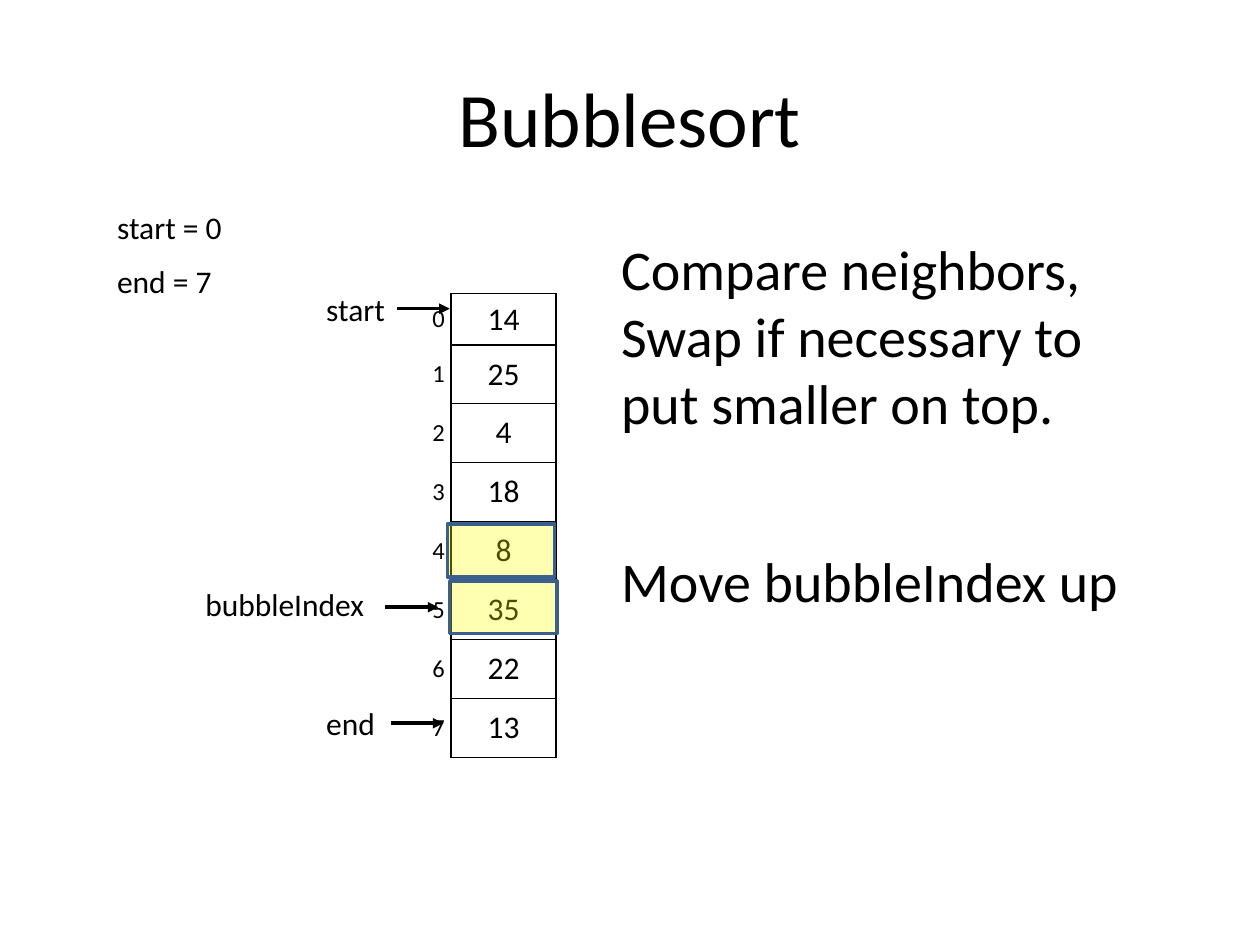
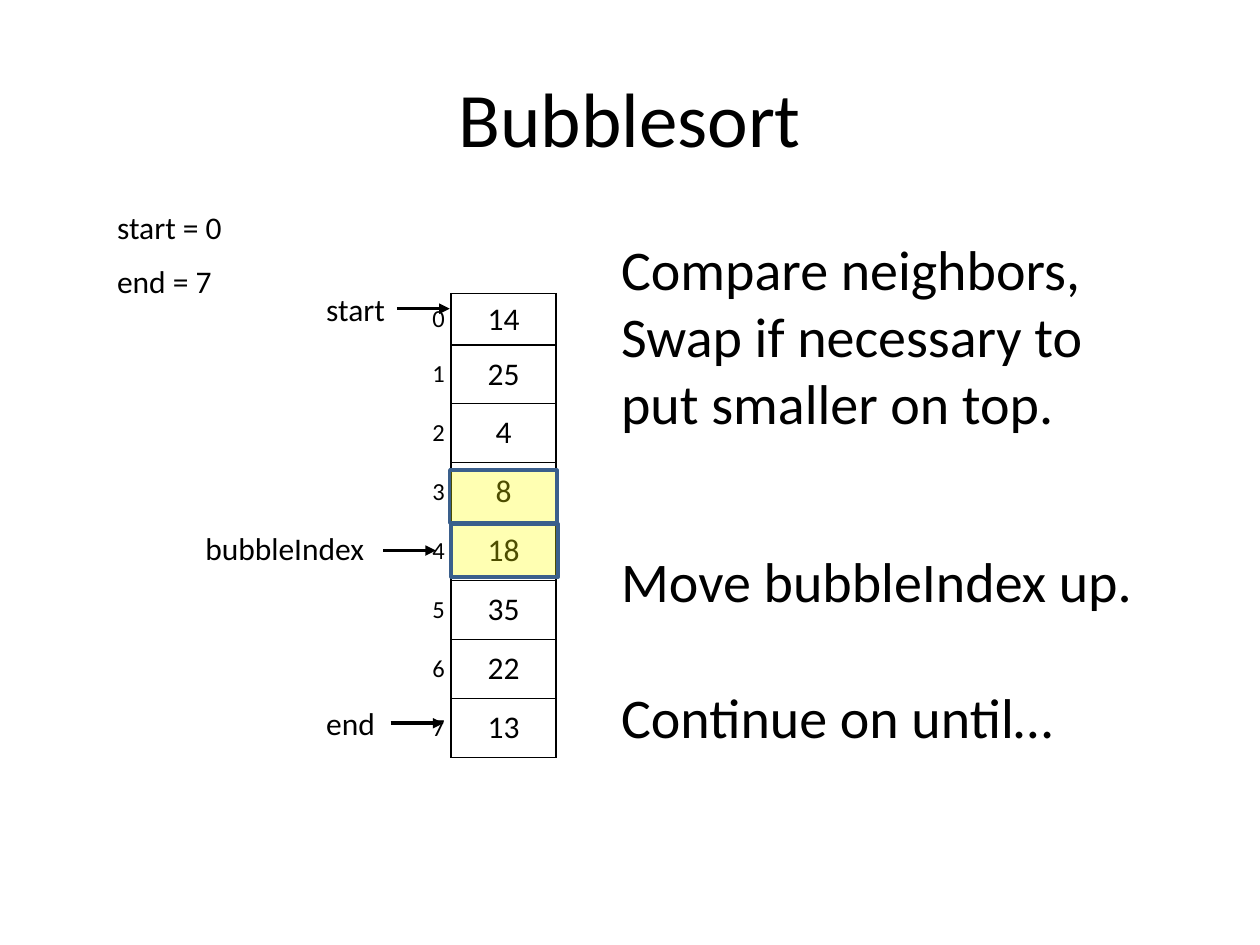
from pptx import Presentation
from pptx.dml.color import RGBColor
from pptx.enum.shapes import MSO_CONNECTOR as Connector, MSO_SHAPE as Preset
from pptx.enum.text import MSO_ANCHOR as Anchor, MSO_AUTO_SIZE as AutoSize, PP_ALIGN as Align
from pptx.oxml.ns import qn
from pptx.util import Pt
from lxml.etree import SubElement

BLACK = RGBColor(0, 0, 0)
YELLOW = RGBColor(255, 255, 0)
BLUE = RGBColor(0x3A, 0x5F, 0x8C)
FONT = "Calibri"
LABEL_SIZE, INDEX_SIZE, NOTE_SIZE, TITLE_SIZE = 18, 14, 32, 44
NOTE_LINE = 39
ARROW_LENGTH = 30.2

STEPS = [
    {
        "values": [14, 25, 4, 18, 8, 35, 22, 13],
        "highlights": [(257, 331.9), (255.6, 299.5)],
        "label_top": 330.5,
        "arrow": (220.3, 347),
        "notes": ["Move bubbleIndex up"],
    },
    {
        "values": [14, 25, 4, 8, 18, 35, 22, 13],
        "highlights": [(257.8, 299.5), (257, 268.6)],
        "label_top": 298.8,
        "arrow": (218.9, 314.6),
        "notes": ["Move bubbleIndex up.", "Continue on until…"],
    },
]


def format_text(frame, size, align=Align.LEFT):
    for para in frame.paragraphs:
        para.alignment = align
        for span in para.runs:
            span.font.name = FONT
            span.font.size = Pt(size)
            span.font.color.rgb = BLACK


def add_text(page, text, left, top, width, height=29, size=LABEL_SIZE):
    box = page.shapes.add_textbox(Pt(left), Pt(top), Pt(width), Pt(height))
    frame = box.text_frame
    frame.word_wrap = True
    frame.auto_size = AutoSize.SHAPE_TO_FIT_TEXT
    frame.text = text
    format_text(frame, size)
    return frame


def add_title(page, text):
    frame = add_text(page, text, 36, 21.6, 648, 90)
    frame.auto_size = AutoSize.NONE
    frame.vertical_anchor = Anchor.MIDDLE
    format_text(frame, TITLE_SIZE, Align.CENTER)


def add_note(page, lines, top, height, gap=0):
    frame = add_text(page, "\n".join(lines), 347.8, top, 318.2, height, NOTE_SIZE)
    for para in frame.paragraphs[1:]:
        para.space_before = Pt(gap)


def add_arrow(page, left, y):
    arrow = page.shapes.add_connector(
        Connector.STRAIGHT, Pt(left), Pt(y), Pt(left + ARROW_LENGTH), Pt(y))
    arrow.line.color.rgb = BLACK
    arrow.line.width = Pt(2)
    SubElement(arrow.line._get_or_add_ln(), qn("a:tailEnd"), type="triangle")
    SubElement(arrow._element.spPr, qn("a:effectLst"))


def add_highlight(page, left, top):
    box = page.shapes.add_shape(Preset.RECTANGLE, Pt(left), Pt(top), Pt(61.2), Pt(30.2))
    box.shadow.inherit = False
    box.fill.solid()
    box.fill.fore_color.rgb = YELLOW
    color = box._element.spPr.find(qn("a:solidFill"))[0]
    SubElement(color, qn("a:alpha"), val="30000")
    box.line.color.rgb = BLUE
    box.line.width = Pt(2)


def add_borders(cell, sides):
    properties = cell._tc.get_or_add_tcPr()
    for side in sides:
        border = SubElement(properties, qn(f"a:ln{side}"), w=str(Pt(1)))
        fill = SubElement(border, qn("a:solidFill"))
        SubElement(fill, qn("a:srgbClr"), val=str(BLACK))


def fill_cell(cell, value, size, sides):
    cell.text = str(value)
    cell.vertical_anchor = Anchor.MIDDLE
    format_text(cell.text_frame, size, Align.CENTER)
    add_borders(cell, sides)
    cell.fill.background()


def add_array(page, values):
    table = page.shapes.add_table(
        len(values), 2, Pt(239.8), Pt(167.8), Pt(78), Pt(245.3)).table
    table.first_row = table.horz_banding = False
    table.columns[0].width = Pt(18)
    table.columns[1].width = Pt(60)
    for index, value in enumerate(values):
        table.rows[index].height = Pt(33.7 if index else 9.4)
        fill_cell(table.cell(index, 0), index, INDEX_SIZE, "R")
        fill_cell(table.cell(index, 1), value, LABEL_SIZE, "LRTB")


def add_step(deck, step):
    page = deck.slides.add_slide(deck.slide_layouts[6])
    add_title(page, "Bubblesort")
    add_array(page, step["values"])
    add_text(page, "start = 0", 59.8, 115.2, 77.8)
    add_text(page, "end = 7", 59.8, 146.2, 77.8)
    add_text(page, "start", 179.3, 162, 48.5)
    add_text(page, "end", 179.3, 398.9, 48.5)
    add_arrow(page, 226.8, 176.4)
    add_arrow(page, 223.2, 413.3)
    add_note(page, ["Compare neighbors,", "Swap if necessary to put smaller on top."], 130.3, 124)
    for left, top in step["highlights"]:
        add_highlight(page, left, top)
    add_text(page, "bubbleIndex", 110.2, step["label_top"], 113.8)
    add_arrow(page, *step["arrow"])
    lines = 2 * len(step["notes"]) - 1
    add_note(page, step["notes"], 308.9, lines * NOTE_LINE + 7, NOTE_LINE)


def main():
    deck = Presentation()
    deck.slide_width, deck.slide_height = Pt(720), Pt(540)
    for step in STEPS:
        add_step(deck, step)
    deck.save("out.pptx")


if __name__ == "__main__":
    main()
